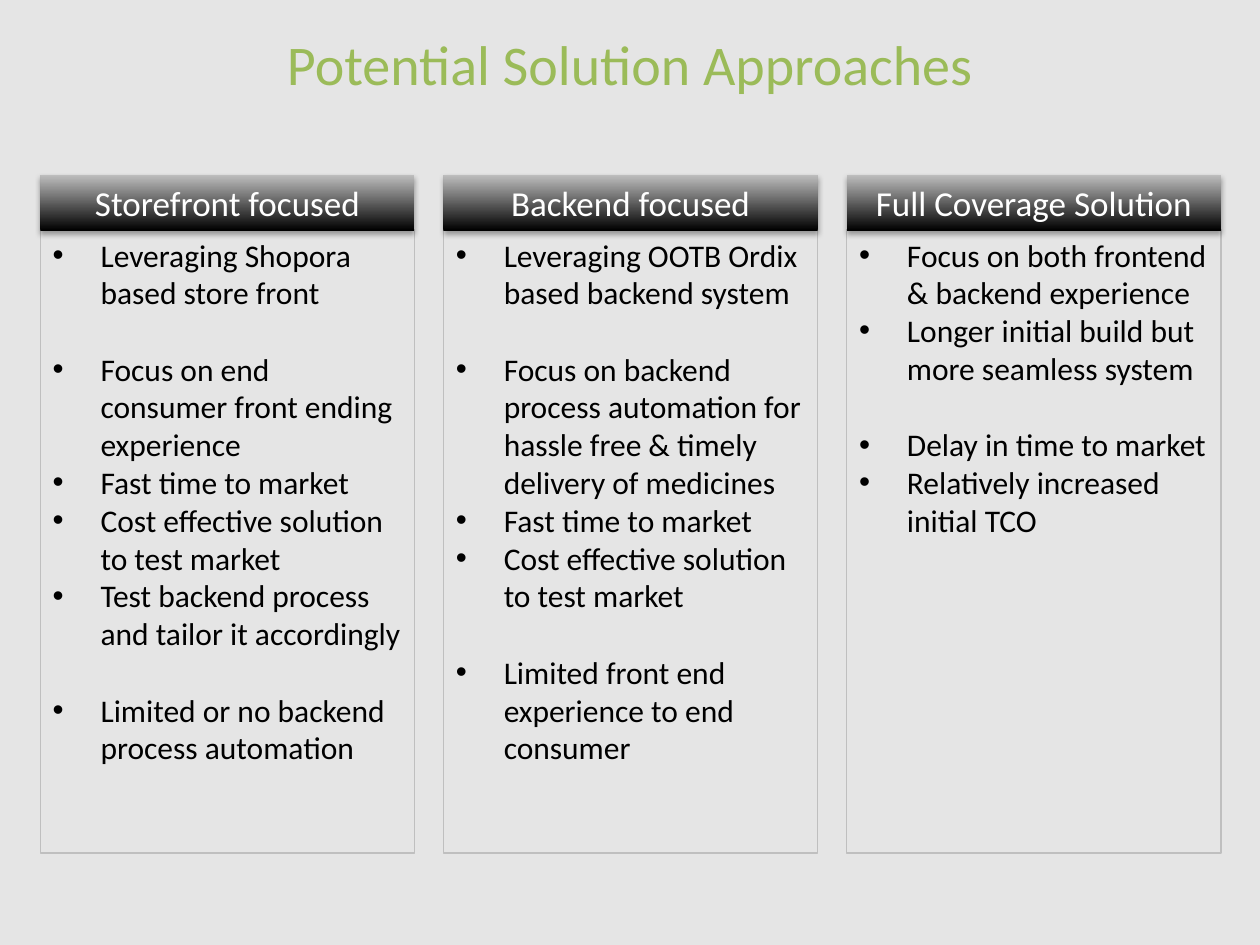
from lxml import etree
from pptx import Presentation
from pptx import util as u
from pptx.dml.color import RGBColor
from pptx.enum import shapes, text
from pptx.oxml import ns

COLORS = {"black": "000000", "silver": "BDBDBD", "border": "BFBFBF",
          "green": "9BBB59", "white": "FFFFFF"}


def rgb(name):
    return RGBColor.from_string(COLORS[name])


def add_xml(parent, tag, **attrs):
    return etree.SubElement(parent, ns.qn(tag), attrs)


class Deck:
    font = "Calibri"
    body_size = 18
    indent = u.Inches(0.38)

    def __init__(self, width, height):
        self.prs = Presentation()
        self.prs.slide_width, self.prs.slide_height = u.Inches(width), u.Inches(height)
        self.s = self.prs.slides.add_slide(self.prs.slide_layouts[6])

    def rect(self, *box):
        sp = self.s.shapes.add_shape(shapes.MSO_SHAPE.RECTANGLE, *map(u.Inches, box))
        sp.shadow.inherit = False
        sp.fill.background()
        sp.line.fill.background()
        return sp

    def style(self, p, size, color, align):
        p.alignment = align
        for r in p.runs:
            r.font.name, r.font.size = self.font, u.Pt(size)
            r.font.color.rgb = rgb(color)

    def backdrop(self, *box):
        sp = self.rect(*box)
        sp.fill.solid()
        sp.fill.fore_color.rgb = rgb("black")
        clr = sp._element.spPr.find(".//" + ns.qn("a:srgbClr"))
        add_xml(clr, "a:alpha", val="10000")

    def title(self, words, *box):
        tf = self.s.shapes.add_textbox(*map(u.Inches, box)).text_frame
        tf.word_wrap = True
        tf.vertical_anchor = text.MSO_ANCHOR.MIDDLE
        tf.text = words
        self.style(tf.paragraphs[0], 32, "green", text.PP_ALIGN.CENTER)

    def header(self, words, *box):
        sp = self.rect(*box)
        sp.fill.gradient()
        sp.fill.gradient_angle = 90
        for stop, color in zip(sp.fill.gradient_stops, ("black", "silver")):
            stop.color.rgb = rgb(color)
        # Soft shadow below the bar
        effects = sp._element.spPr.find(ns.qn("a:effectLst"))
        shadow = add_xml(effects, "a:outerShdw", blurRad=str(u.Pt(3.1)),
                         dist=str(u.Pt(1.8)), dir="5400000", rotWithShape="0")
        clr = add_xml(shadow, "a:srgbClr", val=COLORS["black"])
        add_xml(clr, "a:alpha", val="35000")
        tf = sp.text_frame
        tf.vertical_anchor = text.MSO_ANCHOR.TOP
        tf.text = words
        self.style(tf.paragraphs[0], 20, "white", text.PP_ALIGN.CENTER)

    def panel(self, groups, *box):
        sp = self.rect(*box)
        sp.line.color.rgb = rgb("border")
        sp.line.width = u.Pt(0.75)
        tf = sp.text_frame
        tf.vertical_anchor = text.MSO_ANCHOR.TOP
        tf.text = "\n".join(item for group in groups for item in group)
        starts = [group[0] for group in groups[1:]]
        for p in tf.paragraphs:
            self.style(p, self.body_size, "black", text.PP_ALIGN.LEFT)
            if p.text in starts:  # one line of space between groups
                p.space_before = u.Pt(22)
            pPr = p._p.get_or_add_pPr()
            pPr.set("marL", str(self.indent))
            pPr.set("indent", str(-self.indent))
            add_xml(pPr, "a:buFont", typeface="Arial")
            add_xml(pPr, "a:buChar", char="•")


# Each column: heading, then groups of bullets
COLUMNS = [
    ("Storefront focused", [
        ["Leveraging Shopora based store front"],
        ["Focus on end consumer front ending experience",
         "Fast time to market",
         "Cost effective solution to test market",
         "Test backend process and tailor it accordingly"],
        ["Limited or no backend process automation"]]),
    ("Backend focused", [
        ["Leveraging OOTB Ordix based backend system"],
        ["Focus on backend process automation for hassle free & timely "
         "delivery of medicines",
         "Fast time to market",
         "Cost effective solution to test market"],
        ["Limited front end experience to end consumer"]]),
    ("Full Coverage Solution", [
        ["Focus on both frontend & backend experience",
         "Longer initial build but more seamless system"],
        ["Delay in time to market",
         "Relatively increased initial TCO"]]),
]


def main():
    deck = Deck(10, 7.5)
    deck.backdrop(0, 0, 10, 7.5)
    deck.title("Potential Solution Approaches", 0, -0.01, 10, 1.02)

    # Three equal columns
    left, step, width = 0.32, 3.2, 2.97
    for i, (heading, groups) in enumerate(COLUMNS):
        x = left + i * step
        deck.panel(groups, x, 1.82, width, 4.95)
        deck.header(heading, x, 1.39, width, 0.44)

    deck.prs.save("out.pptx")


if __name__ == "__main__":
    main()
